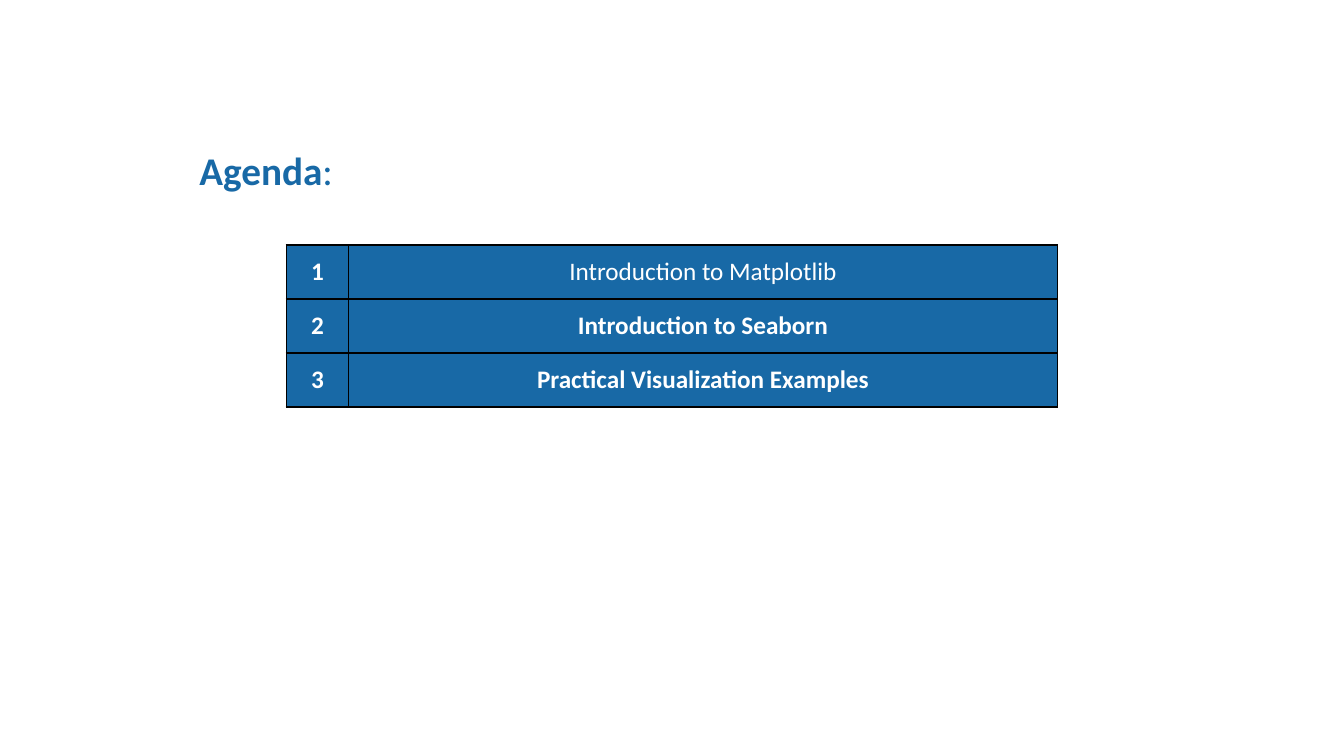
"""Build the agenda slide."""
from dataclasses import dataclass

from lxml import etree
from pptx import Presentation
from pptx.dml.color import RGBColor
from pptx.enum.text import MSO_ANCHOR, MSO_AUTO_SIZE, PP_ALIGN
from pptx.oxml.ns import qn
from pptx.util import Pt

CENTER = PP_ALIGN.CENTER
MIDDLE = MSO_ANCHOR.MIDDLE
GROW_TO_FIT = MSO_AUTO_SIZE.SHAPE_TO_FIT_TEXT


@dataclass(frozen=True)
class Theme:
    """Colours, font and type sizes of the slide."""

    blue: str = "1869A6"
    white: str = "FFFFFF"
    border: str = "000000"
    font: str = "Calibri"
    heading_size: int = 28
    topic_size: int = 18
    border_width: int = 1


THEME = Theme()
TOPICS = [
    ("Introduction to Matplotlib", False),
    ("Introduction to Seaborn", True),
    ("Practical Visualization Examples", True),
]
COLUMN_WIDTHS = (44.6, 506.2)
ROW_HEIGHT = 38.6


def style_font(font, size, color, bold=None):
    """Set the typeface, size, colour and weight of a font."""
    font.name = THEME.font
    font.size = Pt(size)
    font.color.rgb = RGBColor.from_string(color)
    font.bold = bold


def add_heading(slide, title, mark):
    """Add the heading with a bold title and a regular closing mark."""
    heading = slide.shapes.add_textbox(Pt(135.4), Pt(100.8), Pt(137.5), Pt(41))
    heading.text_frame.word_wrap = True
    heading.text_frame.auto_size = GROW_TO_FIT
    paragraph = heading.text_frame.paragraphs[0]
    style_font(paragraph.font, THEME.heading_size, THEME.blue)
    for text, bold in ((title, True), (mark, False)):
        run = paragraph.add_run()
        run.text = text
        style_font(run.font, THEME.heading_size, THEME.blue, bold)


def add_borders(cell):
    """Draw a thin solid line on each side of a cell, ahead of its fill."""
    properties = cell._tc.get_or_add_tcPr()
    for index, side in enumerate(("lnL", "lnR", "lnT", "lnB")):
        line = etree.Element(qn(f"a:{side}"), w=str(Pt(THEME.border_width)))
        fill = etree.SubElement(line, qn("a:solidFill"))
        etree.SubElement(fill, qn("a:srgbClr"), val=THEME.border)
        properties.insert(index, line)


def fill_cell(cell, text, bold):
    """Write centred text in a blue, bordered cell."""
    cell.fill.solid()
    cell.fill.fore_color.rgb = RGBColor.from_string(THEME.blue)
    cell.vertical_anchor = MIDDLE
    add_borders(cell)
    paragraph = cell.text_frame.paragraphs[0]
    paragraph.text = text
    paragraph.alignment = CENTER
    style_font(paragraph.font, THEME.topic_size, THEME.white, bold)


def add_agenda(slide, topics):
    """Add the table of numbered topics."""
    agenda = slide.shapes.add_table(
        len(topics), len(COLUMN_WIDTHS), Pt(204.5), Pt(175),
        Pt(sum(COLUMN_WIDTHS)), Pt(ROW_HEIGHT * len(topics)),
    ).table
    agenda.first_row = False
    agenda.horz_banding = False
    for column, width in zip(agenda.columns, COLUMN_WIDTHS):
        column.width = Pt(width)
    for row_index, (topic, bold) in enumerate(topics):
        agenda.rows[row_index].height = Pt(ROW_HEIGHT)
        fill_cell(agenda.cell(row_index, 0), str(row_index + 1), True)
        fill_cell(agenda.cell(row_index, 1), topic, bold)


def main():
    """Build and save the presentation."""
    presentation = Presentation()
    presentation.slide_width = Pt(960)
    presentation.slide_height = Pt(540)
    slide = presentation.slides.add_slide(presentation.slide_layouts[6])
    add_heading(slide, "Agenda", ":")
    add_agenda(slide, TOPICS)
    presentation.save("out.pptx")


if __name__ == "__main__":
    main()
